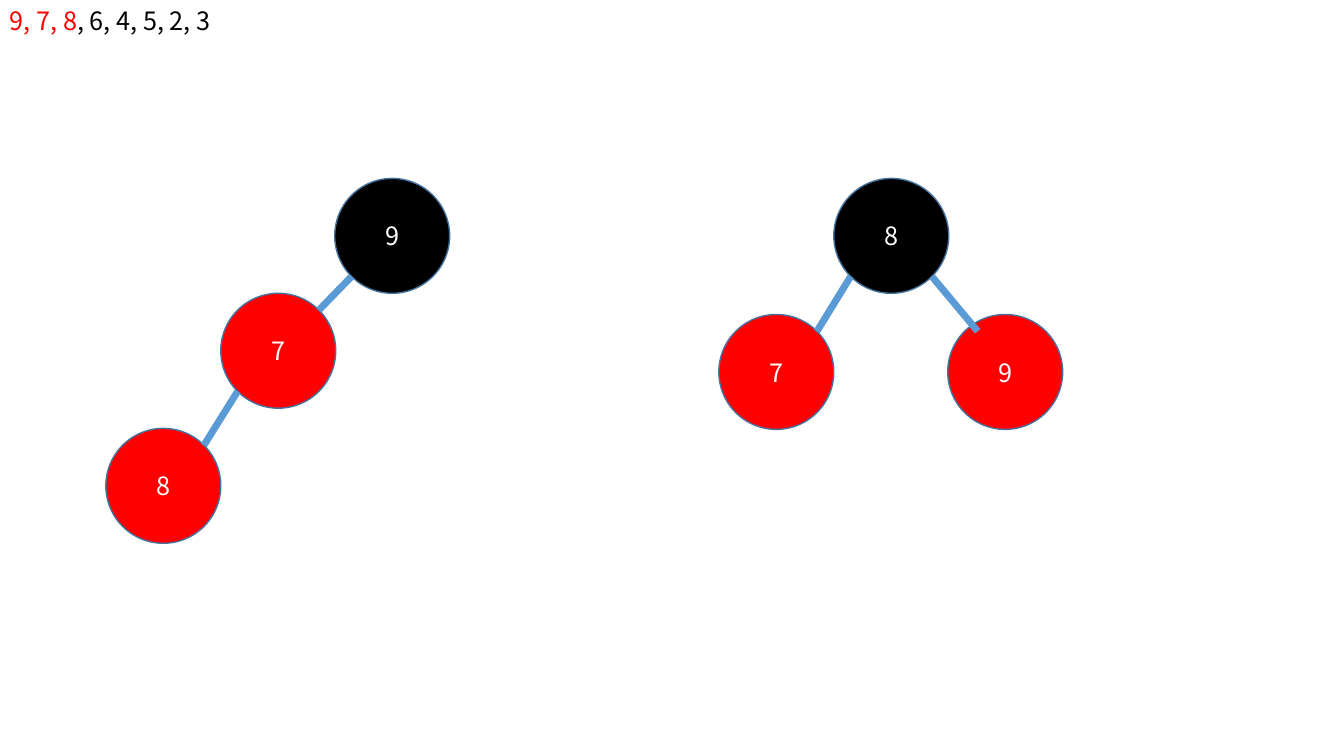
from dataclasses import dataclass
from math import sqrt

from pptx import Presentation
from pptx.dml.color import RGBColor
from pptx.enum.shapes import MSO_CONNECTOR, MSO_SHAPE
from pptx.enum.text import MSO_ANCHOR, MSO_AUTO_SIZE, PP_ALIGN
from pptx.oxml.xmlchemy import OxmlElement
from pptx.slide import Slide
from pptx.util import Inches, Pt

OVAL = MSO_SHAPE.OVAL
STRAIGHT = MSO_CONNECTOR.STRAIGHT
MIDDLE = MSO_ANCHOR.MIDDLE
CENTER = PP_ALIGN.CENTER
FIT_SHAPE = MSO_AUTO_SIZE.SHAPE_TO_FIT_TEXT

FONT = "Noto Sans CJK KR"
RED, BLACK, WHITE = "FF0000", "000000", "FFFFFF"
OUTLINE, EDGE_BLUE = "43739E", "5B9BD5"
DIAMETER = 1.14
DIAGONAL = DIAMETER / 2 / sqrt(2)


@dataclass(frozen=True)
class Node:
    key: str
    x: float
    y: float
    color: str


@dataclass(frozen=True)
class Edge:
    parent: Node
    child: Node
    overshoot: float = 0


LEFT_ROOT = Node("9", 3.89, 2.34, BLACK)
LEFT_CHILD = Node("7", 2.76, 3.48, RED)
LEFT_GRANDCHILD = Node("8", 1.62, 4.82, RED)
RIGHT_ROOT = Node("8", 8.84, 2.34, BLACK)
RIGHT_LOW = Node("7", 7.7, 3.69, RED)
RIGHT_HIGH = Node("9", 9.97, 3.69, RED)

NODES = [LEFT_CHILD, LEFT_ROOT, LEFT_GRANDCHILD, RIGHT_ROOT, RIGHT_LOW, RIGHT_HIGH]
EDGES = [
    Edge(LEFT_ROOT, LEFT_CHILD),
    Edge(LEFT_CHILD, LEFT_GRANDCHILD),
    Edge(RIGHT_ROOT, RIGHT_LOW),
    Edge(RIGHT_ROOT, RIGHT_HIGH, overshoot=0.13),
]
SEQUENCE = [("9, 7, 8", RED), (", 6, 4, 5, 2, 3", BLACK)]


def rgb(value: str) -> RGBColor:
    """Turn a hex string into a colour."""
    return RGBColor.from_string(value)


def format_run(run, color: str) -> None:
    """Give a run the slide's font, size and a colour."""
    run.font.name = FONT
    run.font.size = Pt(18)
    run.font.color.rgb = rgb(color)


def draw_sequence(slide: Slide) -> None:
    """Write the insertion sequence with the inserted keys in red."""
    sequence = slide.shapes.add_textbox(0, 0, Inches(5.92), Inches(0.4))
    frame = sequence.text_frame
    frame.word_wrap = True
    frame.auto_size = FIT_SHAPE
    for keys, color in SEQUENCE:
        run = frame.paragraphs[0].add_run()
        run.text = keys
        format_run(run, color)


def draw_node(slide: Slide, node: Node) -> None:
    """Draw a tree node centred on its position."""
    circle = slide.shapes.add_shape(
        OVAL,
        Inches(node.x - DIAMETER / 2),
        Inches(node.y - DIAMETER / 2),
        Inches(DIAMETER),
        Inches(DIAMETER),
    )
    circle.shadow.inherit = False
    circle.fill.solid()
    circle.fill.fore_color.rgb = rgb(node.color)
    circle.line.color.rgb = rgb(OUTLINE)
    circle.line.width = Pt(1)
    frame = circle.text_frame
    frame.text = node.key
    frame.vertical_anchor = MIDDLE
    frame.paragraphs[0].alignment = CENTER
    format_run(frame.paragraphs[0].runs[0], WHITE)


def draw_edge(slide: Slide, edge: Edge) -> None:
    """Link the facing diagonal points of a parent and its child."""
    side = 1 if edge.child.x > edge.parent.x else -1
    link = slide.shapes.add_connector(
        STRAIGHT,
        Inches(edge.parent.x + side * DIAGONAL),
        Inches(edge.parent.y + DIAGONAL),
        Inches(edge.child.x - side * (DIAGONAL - edge.overshoot)),
        Inches(edge.child.y - DIAGONAL),
    )
    link.line.color.rgb = rgb(EDGE_BLUE)
    link.line.width = Pt(5)
    link._element.spPr.append(OxmlElement("a:effectLst"))


def main() -> None:
    """Build the slide and save it."""
    presentation = Presentation()
    presentation.slide_width = Inches(13.33)
    presentation.slide_height = Inches(7.5)
    slide = presentation.slides.add_slide(presentation.slide_layouts[6])
    draw_sequence(slide)
    for node in NODES:
        draw_node(slide, node)
    for edge in EDGES:
        draw_edge(slide, edge)
    presentation.save("out.pptx")


if __name__ == "__main__":
    main()
